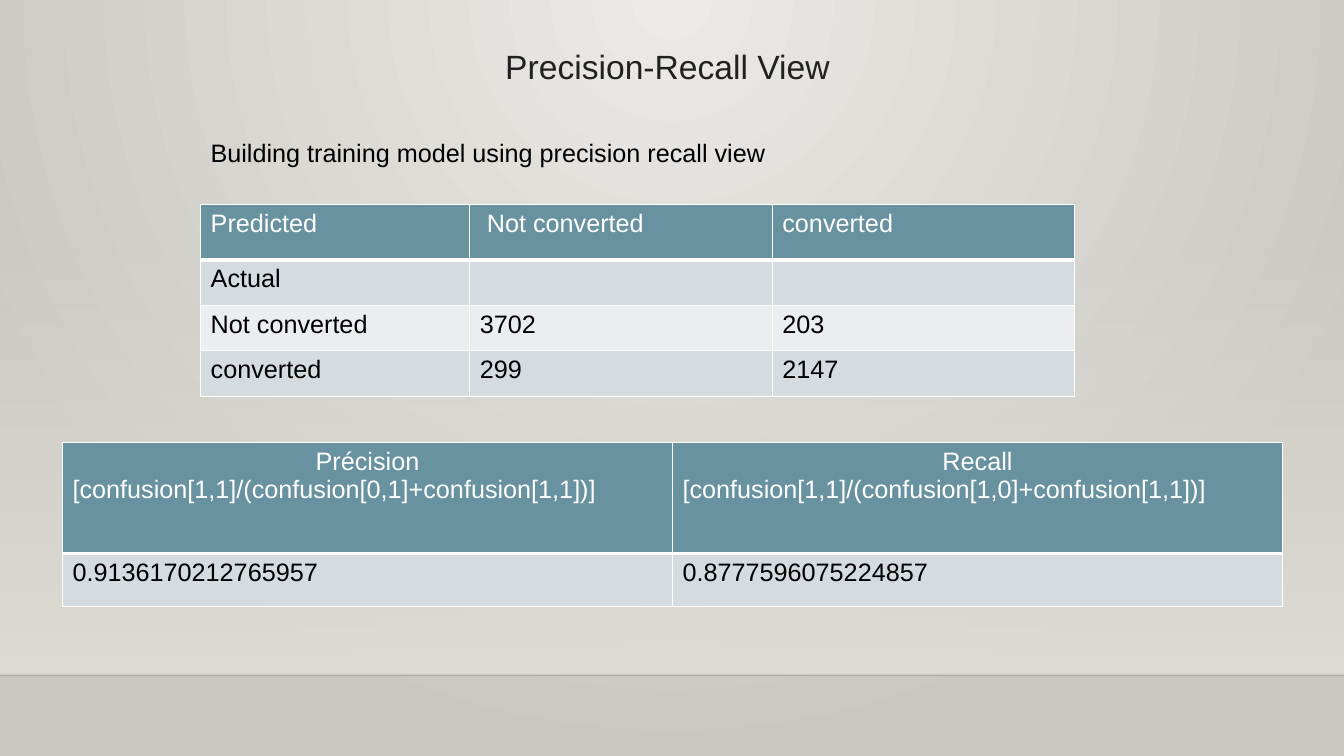
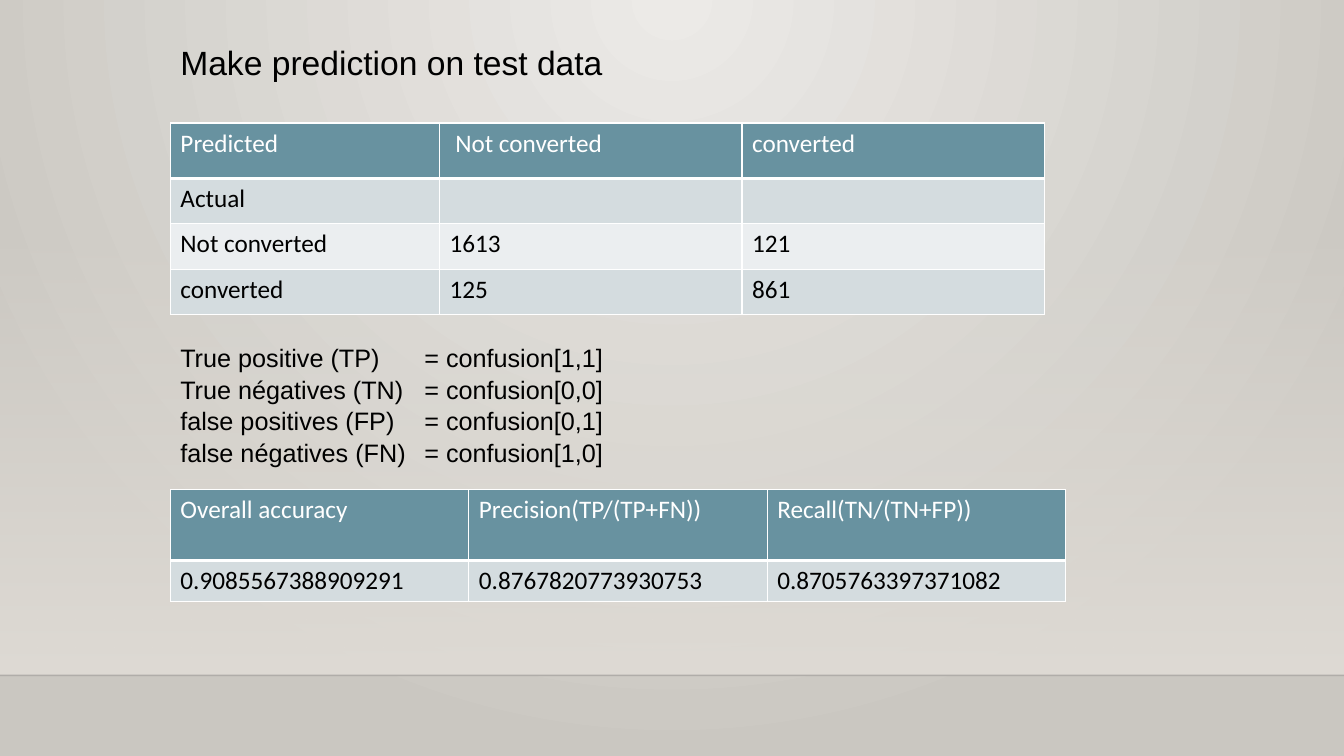
from lxml import etree
from pptx import Presentation
from pptx.dml.color import RGBColor
from pptx.enum import shapes, text
from pptx.oxml import ns
from pptx.util import Inches, Pt

COLORS = {"glow": "ECEAE7", "edge": "CAC7C1", "floor": "DFDBD5", "rule": "000001",
          "title": "212121", "ink": "000000", "white": "FFFFFF",
          "header": "6892A0", "odd": "D4DCDF", "even": "EBEEF0"}
MATRIX = {"cols": [2.67, 3, 3], "rows": [0.55, 0.45, 0.45, 0.45]}


def matrix(tn, fp, fn, tp):
    """Return the rows of a confusion matrix."""
    return [["Predicted", "\u00a0Not converted", "converted"], ["Actual", "", ""],
            ["Not converted", tn, fp], ["converted", fn, tp]]


SLIDES = [
    {"texts": [
        {"at": (1.99, 0.41, 9.26, 0.5), "lines": ["Precision-Recall View"],
         "size": 24, "color": "title", "align": "CENTER"},
        {"at": (1.99, 1.31, 6.67, 0.4),
         "lines": ["Building training model using precision recall view"]}],
     "tables": [
        {"at": (1.99, 2.03), **MATRIX, "font": "Arial",
         "cells": matrix("3702", "203", "299", "2147")},
        {"at": (0.62, 4.39), "cols": [6.05] * 2, "rows": [1.1, 0.53], "font": "Arial",
         "cells": [["Précision\n[confusion[1,1]/(confusion[0,1]+confusion[1,1])]",
                    "Recall\n[confusion[1,1]/(confusion[1,0]+confusion[1,1])]"],
                   ["0.9136170212765957", "0.8777596075224857"]]}]},
    {"texts": [
        {"at": (1.69, 0.37, 9.26, 0.5), "lines": ["Make prediction on test data"],
         "size": 24},
        {"at": (1.69, 3.33, 6.67, 1.31), "tab": 2.42, "spacing": 1.05,
         "lines": ["True positive (TP)\t= confusion[1,1]",
                   "True négatives (TN)\t= confusion[0,0]",
                   "false positives (FP)\t= confusion[0,1]",
                   "false négatives (FN)\t= confusion[1,0]"]}],
     "tables": [
        {"at": (1.69, 1.22), **MATRIX, "font": "Calibri",
         "cells": matrix("1613", "121", "125", "861")},
        {"at": (1.69, 4.86), "cols": [2.96] * 3, "rows": [0.7, 0.41], "font": "Calibri",
         "cells": [["Overall accuracy", "Precision(TP/(TP+FN))", "Recall(TN/(TN+FP))"],
                   ["0.9085567388909291", "0.8767820773930753",
                    "0.8705763397371082"]]}]},
]


def rgb(name):
    """Return a named colour."""
    return RGBColor.from_string(COLORS[name])


def sub(parent, tag, **attrs):
    """Append an XML child and return it."""
    return etree.SubElement(parent, ns.qn(tag), {k: str(v) for k, v in attrs.items()})


def set_opacity(element, percent):
    """Set the opacity of the first colour inside an element."""
    sub(element.find(".//" + ns.qn("a:srgbClr")), "a:alpha", val=percent * 1000)


def set_gradient(fill, first, last):
    """Give a fill two colour stops."""
    fill.gradient()
    for stop, name, position in zip(fill.gradient_stops, (first, last), (0, 1)):
        stop.color.rgb = rgb(name)
        stop.position = position


def write(tf, lines, size=18, font="Arial", color="ink", align="LEFT", tab=None,
          spacing=None):
    """Write formatted lines into a text frame."""
    for i, line in enumerate(lines):
        p = tf.paragraphs[0] if i == 0 else tf.add_paragraph()
        p.alignment = text.PP_ALIGN[align]
        if spacing:
            p.line_spacing = spacing
        if tab:
            tabs = sub(p._p.get_or_add_pPr(), "a:tabLst")
            sub(tabs, "a:tab", pos=Inches(tab), algn="l")
        r = p.add_run()
        r.text = line
        r.font.size, r.font.name, r.font.bold = Pt(size), font, False
        r.font.color.rgb = rgb(color)
    return tf


def set_background(master):
    """Give every slide the round background glow."""
    set_gradient(master.background.fill, "glow", "edge")
    grad = master.element.xpath(".//p:bg//a:gradFill")[0]
    for lin in grad.findall(ns.qn("a:lin")):
        grad.remove(lin)
    glow = sub(grad, "a:path", path="circle")
    sub(glow, "a:fillToRect", l=43000, t=0, r=43000, b=100000)


def add_floor(s):
    """Draw the fading wall and the floor line."""
    wall = s.shapes.add_shape(shapes.MSO_SHAPE.RECTANGLE, 0, Inches(2.21),
                              prs.slide_width, Inches(4.49))
    wall.shadow.inherit = False
    wall.line.fill.background()
    set_gradient(wall.fill, "floor", "floor")
    wall.fill.gradient_angle = 270
    set_opacity(wall._element.spPr, 0)
    rule = s.shapes.add_connector(shapes.MSO_CONNECTOR.STRAIGHT, 0, Inches(6.7),
                                  prs.slide_width, Inches(6.7))
    rule.line.color.rgb = rgb("rule")
    rule.line.width = Pt(1)
    set_opacity(rule._element.spPr, 20)
    sub(rule._element.spPr, "a:effectLst")


def add_text(s, at, lines, **style):
    """Add a wrapped text box."""
    tf = s.shapes.add_textbox(*map(Inches, at)).text_frame
    tf.word_wrap = True
    write(tf, lines, **style)


def set_borders(cell, bottom):
    """Draw white cell borders."""
    tc_pr = cell._tc.get_or_add_tcPr()
    for tag, width in (("a:lnL", 1), ("a:lnR", 1), ("a:lnT", 1), ("a:lnB", bottom)):
        ln = sub(tc_pr, tag, w=Pt(width))
        sub(sub(ln, "a:solidFill"), "a:srgbClr", val=COLORS["white"])


def add_table(s, at, cols, rows, cells, font):
    """Add a table with a header row and banded rows."""
    size = map(Inches, (*at, sum(cols), sum(rows)))
    table = s.shapes.add_table(len(rows), len(cols), *size).table
    for column, width in zip(table.columns, cols):
        column.width = Inches(width)
    for i, (row, height) in enumerate(zip(table.rows, rows)):
        row.height = Inches(height)
        band = "header" if i == 0 else "odd" if i % 2 else "even"
        for cell, value in zip(row.cells, cells[i]):
            set_borders(cell, 1 if i else 3)
            cell.fill.solid()
            cell.fill.fore_color.rgb = rgb(band)
            if value:
                lines = value.split("\n")
                tf = write(cell.text_frame, lines, font=font,
                           color="ink" if i else "white")
                if len(lines) > 1:
                    tf.paragraphs[0].alignment = text.PP_ALIGN.CENTER


prs = Presentation()
prs.slide_width, prs.slide_height = Inches(13.33), Inches(7.5)
set_background(prs.slide_master)
for content in SLIDES:
    s = prs.slides.add_slide(prs.slide_layouts[6])
    add_floor(s)
    for item in content["texts"]:
        add_text(s, **item)
    for item in content["tables"]:
        add_table(s, **item)
prs.save("out.pptx")
